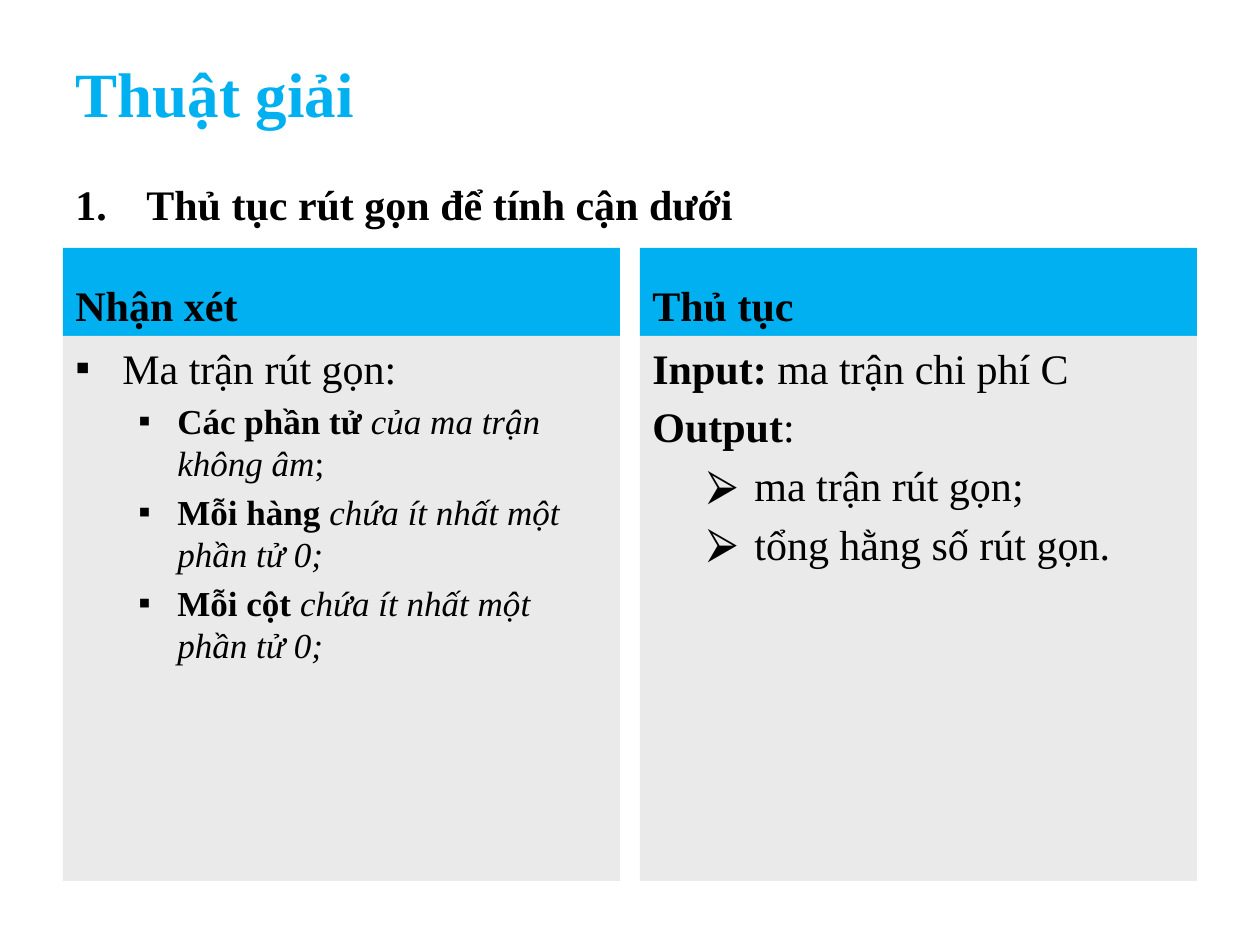
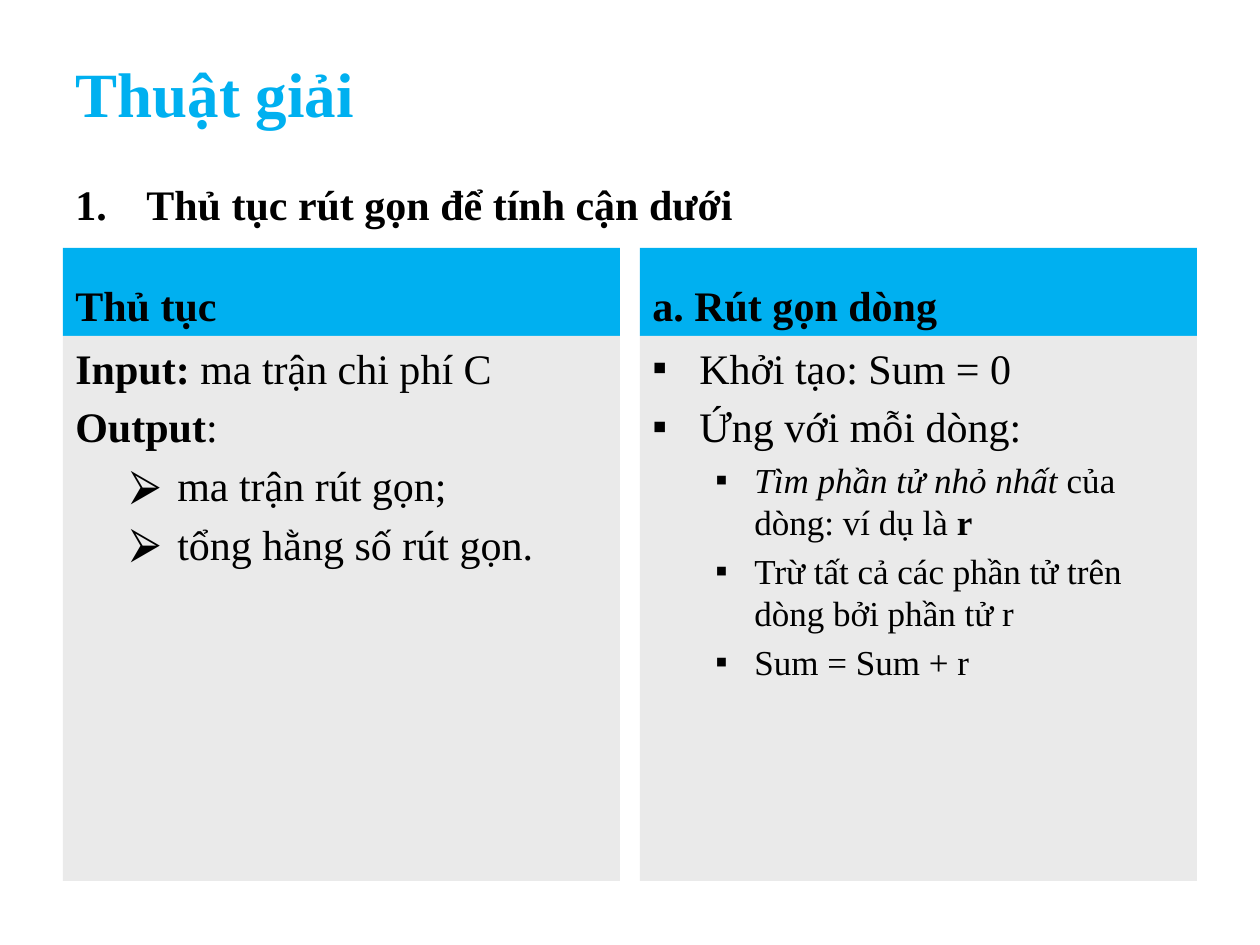
from dataclasses import dataclass

import lxml.etree
import pptx
import pptx.dml.color
import pptx.enum.shapes
import pptx.enum.text
import pptx.oxml.ns
import pptx.util

RGB = pptx.dml.color.RGBColor
ANCHOR = pptx.enum.text.MSO_ANCHOR
FIT = pptx.enum.text.MSO_AUTO_SIZE
PX_PER_INCH = 126


@dataclass(frozen=True)
class Theme:
    font: str = "Times New Roman"
    accent: RGB = RGB(0x00, 0xB0, 0xF0)
    panel: RGB = RGB(0xEA, 0xEA, 0xEA)
    ink: RGB = RGB(0x00, 0x00, 0x00)
    title_size: int = 36
    text_size: int = 24
    detail_size: int = 20


THEME = Theme()


@dataclass(frozen=True)
class Box:
    left: int
    top: int
    width: int
    height: int


TITLE_BOX = Box(63, 38, 1134, 109)
SECTION_BOX = Box(63, 147, 1092, 79)
COLUMN_LEFT, COLUMN_WIDTH, COLUMN_GAP = 63, 557, 20
HEADER_TOP, HEADER_HEIGHT, BODY_HEIGHT = 248, 88, 545


@dataclass(frozen=True)
class Style:
    """Paragraph format; margin and hanging are px, before is points."""
    size: int = THEME.text_size
    level: int = 0
    margin: int = 0
    hanging: int = 0
    before: float = 4.8
    line_spacing: float = 1.0
    bullet: str = ""
    numbered: bool = False


PLAIN = Style()
POINT = Style(margin=47, hanging=47, bullet="▪")
DETAIL = Style(THEME.detail_size, 1, 102, 39, 4, bullet="▪")
RESULT = Style(level=1, margin=102, hanging=47, bullet="⮚")
SECTION = Style(margin=71, hanging=71, before=0, line_spacing=1.5, numbered=True)
TITLE = Style(size=THEME.title_size, before=0)
HEADER = Style(before=0)


@dataclass(frozen=True)
class Run:
    text: str
    bold: bool = False
    italic: bool = False
    color: RGB = THEME.ink


@dataclass(frozen=True)
class Para:
    style: Style
    runs: tuple[Run, ...]


@dataclass(frozen=True)
class Column:
    header: str
    paras: tuple[Para, ...]


def para(style: Style, *runs: Run) -> Para:
    return Para(style, runs)


def px(value: int) -> int:
    return round(value * pptx.util.Inches(1) / PX_PER_INCH)


def frame(box: Box) -> tuple[int, ...]:
    return px(box.left), px(box.top), px(box.width), px(box.height)


def add_bullet(p_pr, style: Style) -> None:
    """Add the marker with a text font, so that missing glyphs fall back."""
    def child(parent, tag: str, **attributes: str):
        return lxml.etree.SubElement(parent, pptx.oxml.ns.qn(tag), **attributes)

    if not (style.bullet or style.numbered):
        child(p_pr, "a:buNone")
        return
    child(child(p_pr, "a:buClr"), "a:srgbClr", val=str(THEME.ink))
    child(p_pr, "a:buFont", typeface=THEME.font)
    if style.numbered:
        child(p_pr, "a:buAutoNum", type="arabicPeriod")
    else:
        child(p_pr, "a:buChar", char=style.bullet)


def write(tf, paras: tuple[Para, ...], anchor=ANCHOR.TOP, fit=FIT.NONE) -> None:
    tf.word_wrap = True
    tf.auto_size = fit
    tf.vertical_anchor = anchor
    for i, item in enumerate(paras):
        style = item.style
        p = tf.add_paragraph() if i else tf.paragraphs[0]
        p.alignment = pptx.enum.text.PP_ALIGN.LEFT
        p.level = style.level
        p.line_spacing = style.line_spacing
        p.space_before = pptx.util.Pt(style.before if i else 0)
        p_pr = p._p.get_or_add_pPr()
        p_pr.set("marL", str(px(style.margin)))
        p_pr.set("indent", str(-px(style.hanging)))
        add_bullet(p_pr, style)
        for run in item.runs:
            r = p.add_run()
            r.text = run.text
            r.font.name = THEME.font
            r.font.size = pptx.util.Pt(style.size)
            r.font.bold = run.bold
            r.font.italic = run.italic
            r.font.color.rgb = run.color


def add_panel(slide, box: Box, fill: RGB, paras: tuple[Para, ...], anchor) -> None:
    sp = slide.shapes.add_shape(pptx.enum.shapes.MSO_SHAPE.RECTANGLE, *frame(box))
    sp.shadow.inherit = False
    sp.fill.solid()
    sp.fill.fore_color.rgb = fill
    sp.line.fill.background()
    write(sp.text_frame, paras, anchor)


def add_column(slide, index: int, column: Column) -> None:
    left = COLUMN_LEFT + index * (COLUMN_WIDTH + COLUMN_GAP)
    header = Box(left, HEADER_TOP, COLUMN_WIDTH, HEADER_HEIGHT)
    body = Box(left, HEADER_TOP + HEADER_HEIGHT, COLUMN_WIDTH, BODY_HEIGHT)
    heading = para(HEADER, Run(column.header, bold=True))
    add_panel(slide, header, THEME.accent, (heading,), ANCHOR.BOTTOM)
    add_panel(slide, body, THEME.panel, column.paras, ANCHOR.TOP)


def add_slide(prs, columns: tuple[Column, ...]) -> None:
    slide = prs.slides.add_slide(prs.slide_layouts.get_by_name("Title Only"))
    title = slide.shapes.title
    title.left, title.top, title.width, title.height = frame(TITLE_BOX)
    heading = para(TITLE, Run("Thuật giải", bold=True, color=THEME.accent))
    write(title.text_frame, (heading,), ANCHOR.MIDDLE)
    for index, column in enumerate(columns):
        add_column(slide, index, column)
    section = slide.shapes.add_textbox(*frame(SECTION_BOX))
    text = para(SECTION, Run("Thủ tục rút gọn để tính cận dưới", bold=True))
    write(section.text_frame, (text,), fit=FIT.SHAPE_TO_FIT_TEXT)


REMARKS = Column("Nhận xét", (
    para(POINT, Run("Ma trận rút gọn:")),
    para(DETAIL, Run("Các phần tử ", bold=True),
         Run("của ma trận không âm", italic=True), Run(";")),
    *(para(DETAIL, Run(subject, bold=True),
           Run("chứa ít nhất một phần tử 0;", italic=True))
      for subject in ("Mỗi hàng ", "Mỗi cột ")),
))

PROCEDURE = Column("Thủ tục", (
    para(PLAIN, Run("Input: ", bold=True), Run("ma trận chi phí C")),
    para(PLAIN, Run("Output", bold=True), Run(":")),
    para(RESULT, Run("ma trận rút gọn;")),
    para(RESULT, Run("tổng hằng số rút gọn.")),
))

ROW_REDUCTION = Column("a. Rút gọn dòng", (
    para(POINT, Run("Khởi tạo: Sum = 0")),
    para(POINT, Run("Ứng với mỗi dòng:")),
    para(DETAIL, Run("Tìm phần tử nhỏ nhất ", italic=True),
         Run("của dòng: ví dụ là "), Run("r", bold=True)),
    para(DETAIL, Run("Trừ tất cả các phần tử trên dòng bởi phần tử r")),
    para(DETAIL, Run("Sum = Sum + r")),
))


def main() -> None:
    prs = pptx.Presentation()
    prs.slide_width = pptx.util.Inches(10)
    prs.slide_height = pptx.util.Inches(7.5)
    for columns in ((REMARKS, PROCEDURE), (PROCEDURE, ROW_REDUCTION)):
        add_slide(prs, columns)
    prs.save("out.pptx")


if __name__ == "__main__":
    main()
